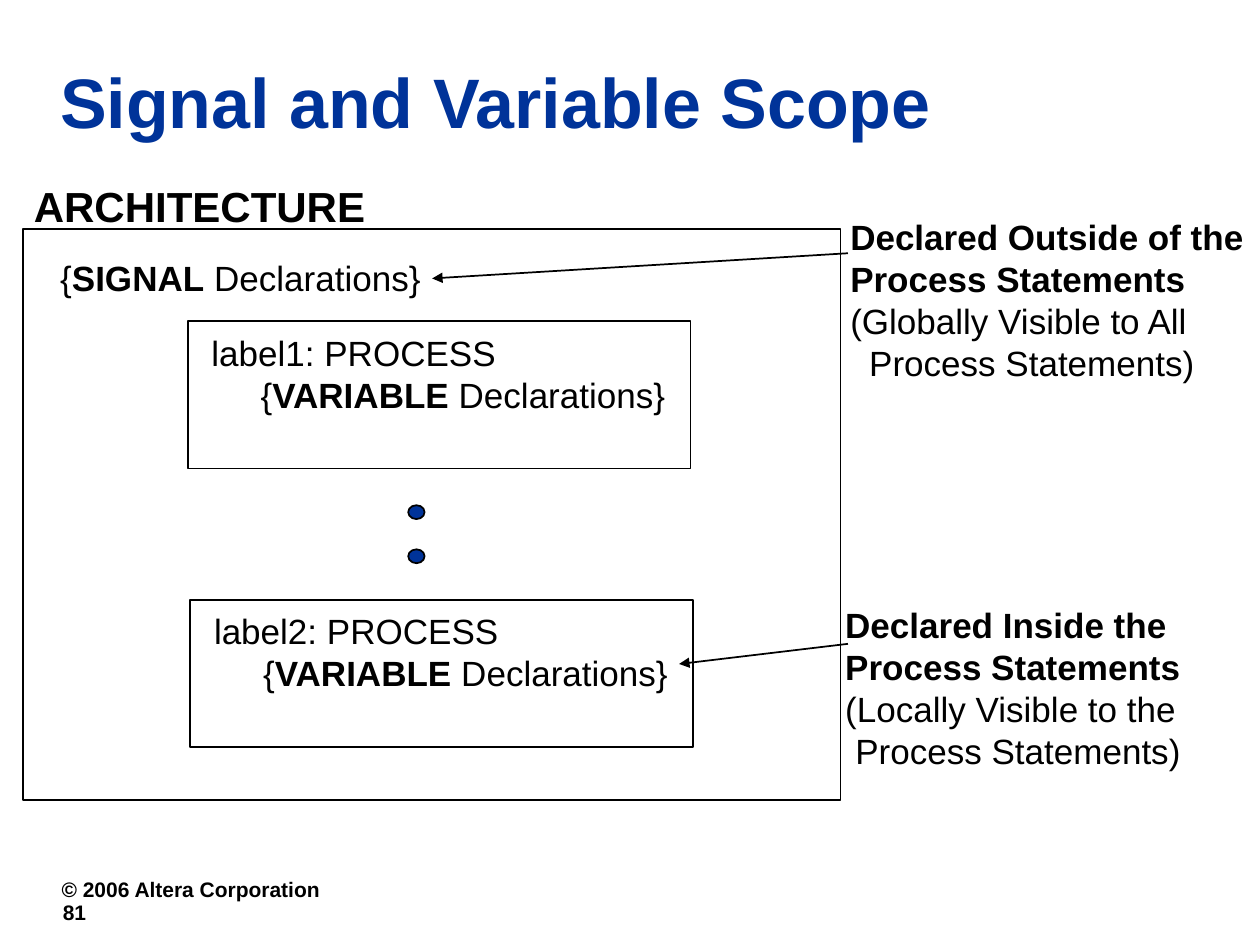
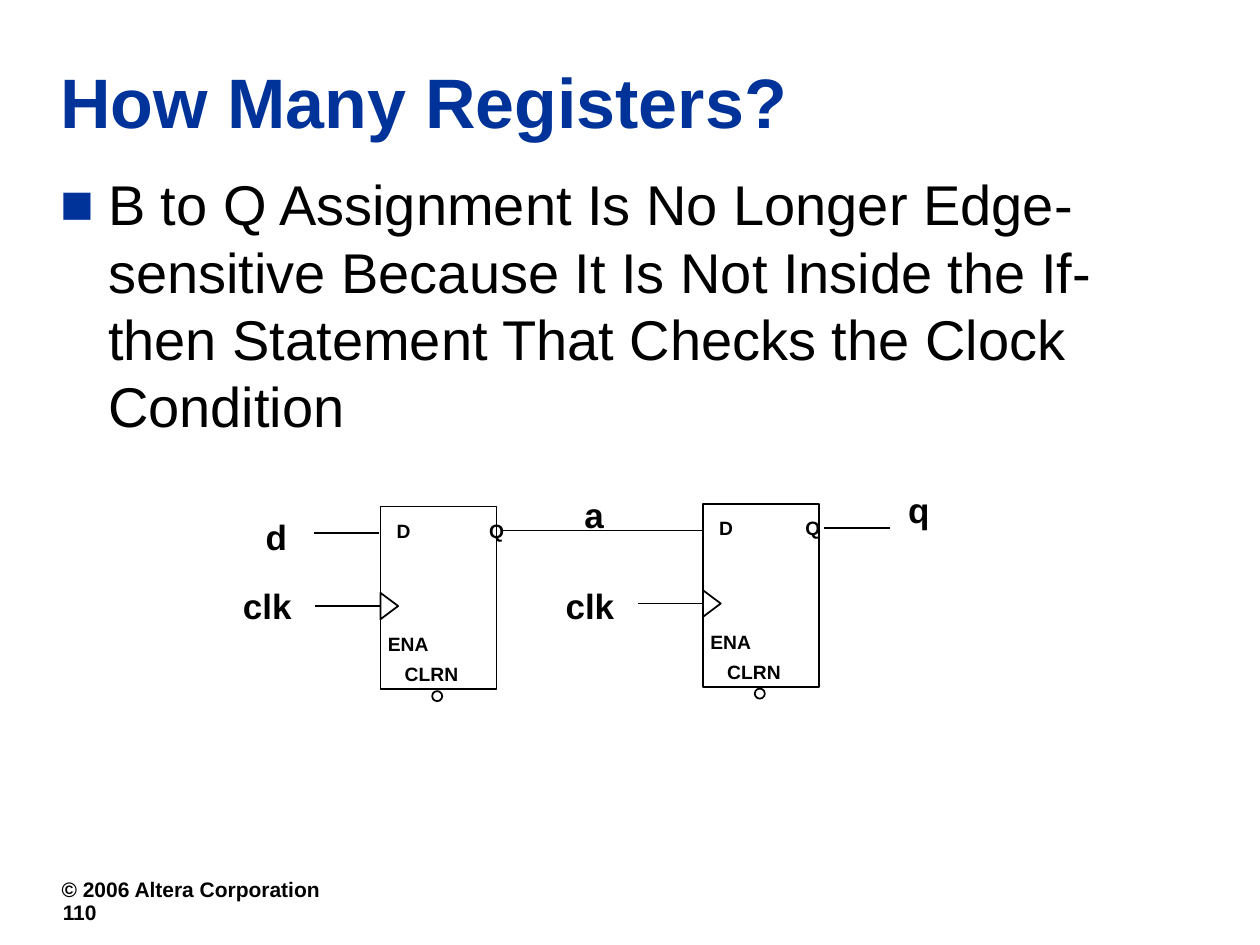
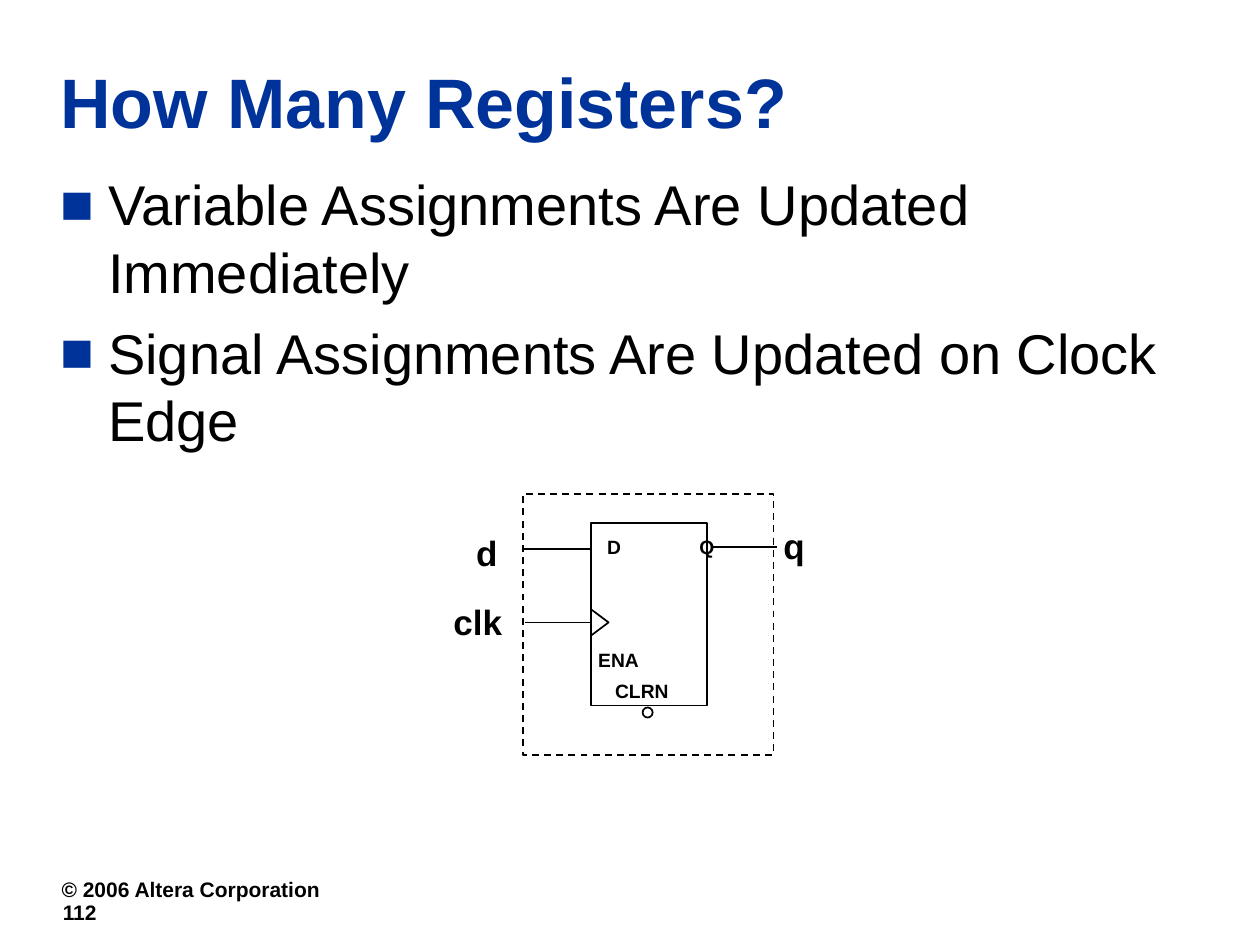
import pptx
import pptx.dml.color
import pptx.enum.dml
import pptx.enum.shapes
import pptx.enum.text
import pptx.oxml
import pptx.oxml.ns
import pptx.util
from lxml import etree

Inches, Pt = pptx.util.Inches, pptx.util.Pt
SHAPE = pptx.enum.shapes.MSO_SHAPE
ALIGN = pptx.enum.text.PP_ALIGN
ANCHOR = pptx.enum.text.MSO_ANCHOR
qn = pptx.oxml.ns.qn

BLACK = pptx.dml.color.RGBColor(0, 0, 0)
WHITE = pptx.dml.color.RGBColor(255, 255, 255)
BLUE = pptx.dml.color.RGBColor(0x00, 0x33, 0x99)
FONT = "Arial"
LEADING = 1.2
COPYRIGHT = "© 2006 Altera Corporation"

# Content: a paragraph is a list of (words, bold) runs
SCOPE = {"title": "Signal and Variable Scope", "number": "81"}
SIGNAL_DECLARATION = [[("{", False), ("SIGNAL", True), (" Declarations}", False)]]
VARIABLE_DECLARATION = [("{", False), ("VARIABLE", True), (" Declarations}", False)]
PROCESSES = [("label1: PROCESS", 1.49, 2.55), ("label2: PROCESS", 1.51, 4.76)]
# Lines, left, top, width, indent of the last line
SCOPE_NOTES = [
    (["Declared Outside of the", "Process Statements", "(Globally Visible to All",
      "Process Statements)"], 6.65, 1.66, 3.4, 0.15),
    (["Declared Inside the", "Process Statements", "(Locally Visible to the",
      "Process Statements)"], 6.61, 4.74, 2.94, 0.08),
]
SCOPE_ARROWS = [((6.73, 2.01), (3.43, 2.21)), ((6.73, 5.11), (5.39, 5.27))]
ELLIPSIS_TOPS = [4.01, 4.36]

# Registers: left, top, left of pin Q; wire labels: words, left, top, width
REGISTER_SLIDES = [
    {"title": "How Many Registers?", "number": "110",
     "points": ["B to Q Assignment Is No Longer Edge-sensitive Because It Is Not "
                "Inside the If-then Statement That Checks the Clock Condition"],
     "registers": [(5.58, 4.0, 0.73), (3.02, 4.02, 0.78)],
     "labels": [("q", 7.11, 3.83, 0.37), ("clk", 4.39, 4.59, 0.59),
                ("d", 2.01, 4.04, 0.37), ("clk", 1.83, 4.59, 0.59),
                ("a", 4.54, 3.87, 0.36)],
     "wires": [((4.4, 4.21), (5.14, 4.21))], "frames": []},
    {"title": "How Many Registers?", "number": "112",
     "points": ["Variable Assignments Are Updated Immediately",
                "Signal Assignments Are Updated on Clock Edge"],
     "registers": [(4.69, 4.15, 0.78)],
     "labels": [("d", 3.68, 4.17, 0.37), ("clk", 3.5, 4.72, 0.59),
                ("q", 6.12, 4.11, 0.37)],
     "wires": [], "frames": [(4.15, 3.92, 1.99, 2.07)]},
]

# Register parts, measured from its top left corner
PINS = [("CLRN", 0.07, 1.19, 0.67), ("ENA", -0.08, 0.95, 0.6), ("D", 0.03, 0.05, 0.22)]
STUBS = [((0, 0.79), (-0.52, 0.79)), ((-0.01, 0.21), (-0.53, 0.21)),
         ((1.48, 0.19), (0.96, 0.19))]


def add_text(slide, box, paragraphs, size, color=BLACK, wrap=False,
             align=ALIGN.LEFT, anchor=ANCHOR.TOP):
    """Places paragraphs of (words, bold) runs and returns the text frame."""
    frame = slide.shapes.add_textbox(*map(Inches, box)).text_frame
    frame.word_wrap = wrap
    frame.vertical_anchor = anchor
    for i, runs in enumerate(paragraphs):
        paragraph = frame.paragraphs[0] if i == 0 else frame.add_paragraph()
        paragraph.alignment = align
        paragraph.line_spacing = Pt(size * LEADING)
        for words, bold in runs:
            run = paragraph.add_run()
            run.text = words
            run.font.name, run.font.size, run.font.bold = FONT, Pt(size), bold
            run.font.color.rgb = color
    return frame


def indent(paragraph, left, first=0):
    properties = paragraph._p.get_or_add_pPr()
    properties.set("marL", str(Inches(left)))
    properties.set("indent", str(Inches(first)))
    return properties


def add_bullet(paragraph):
    properties = indent(paragraph, 0.38, -0.38)
    color = etree.SubElement(properties, qn("a:buClr"))
    etree.SubElement(color, qn("a:srgbClr"), val=str(BLUE))
    etree.SubElement(properties, qn("a:buFont"), typeface=FONT)
    etree.SubElement(properties, qn("a:buChar"), char="■")


def add_text_shadow(run):
    effects = pptx.oxml.parse_xml(
        '<a:effectLst xmlns:a="http://schemas.openxmlformats.org/drawingml/2006/main">'
        '<a:outerShdw dist="17961" dir="2700000"><a:srgbClr val="C0C0C0"/></a:outerShdw>'
        '</a:effectLst>')
    run.font._element.find(qn("a:solidFill")).addnext(effects)


def add_outline(slide, kind, box, fill=None):
    shape = slide.shapes.add_shape(kind, *map(Inches, box))
    shape.shadow.inherit = False
    if fill is None:
        shape.fill.background()
    else:
        shape.fill.solid()
        shape.fill.fore_color.rgb = fill
    shape.line.color.rgb, shape.line.width = BLACK, Pt(1)
    return shape


def add_wire(slide, start, end, arrow=False):
    wire = slide.shapes.add_connector(
        pptx.enum.shapes.MSO_CONNECTOR.STRAIGHT, *map(Inches, (*start, *end)))
    wire.line.color.rgb, wire.line.width = BLACK, Pt(1)
    if arrow:
        etree.SubElement(wire.line._get_or_add_ln(), qn("a:tailEnd"), type="triangle")
    etree.SubElement(wire._element.spPr, qn("a:effectLst"))


def add_slide(deck, content):
    """Starts a slide with the shared footer and title."""
    slide = deck.slides.add_slide(deck.slide_layouts[6])
    add_text(slide, (0.39, 6.91, 4.65, 0.42), [[(COPYRIGHT, True)]], 12, wrap=True)
    add_text(slide, (0.4, 7.09, 0.76, 0.31), [[(content["number"], True)]], 12, wrap=True)
    title = add_text(slide, (0.38, 0.3, 9.11, 1), [[(content["title"], True)]], 40,
                     BLUE, wrap=True, anchor=ANCHOR.MIDDLE)
    add_text_shadow(title.paragraphs[0].runs[0])
    return slide


def add_register(slide, left, top, q_left):
    add_outline(slide, SHAPE.RECTANGLE, (left, top, 0.92, 1.45))
    clock = add_outline(slide, SHAPE.ISOSCELES_TRIANGLE,
                        (left - 0.035, top + 0.72, 0.21, 0.14))
    clock.rotation = 90
    add_outline(slide, SHAPE.OVAL, (left + 0.41, top + 1.465, 0.08, 0.08), WHITE)
    for pin, x, y, width in PINS + [("Q", q_left, 0.05, 0.18)]:
        add_text(slide, (left + x, top + y, width, 0.27), [[(pin, True)]], 11,
                 align=ALIGN.CENTER)
    for stub in STUBS:
        add_wire(slide, *((left + x, top + y) for x, y in stub))


def build_scope(deck):
    slide = add_slide(deck, SCOPE)
    # Architecture and its processes
    add_outline(slide, SHAPE.RECTANGLE, (0.18, 1.82, 6.49, 4.53))
    add_text(slide, (0.17, 1.38, 2.83, 0.5), [[("ARCHITECTURE", True)]], 24)
    for label, left, top in PROCESSES:
        add_outline(slide, SHAPE.RECTANGLE, (left, top, 3.99, 1.17))
        process = add_text(slide, (left + 0.09, top + 0.03, 3.82, 0.77),
                           [[(label, False)], VARIABLE_DECLARATION], 20)
        indent(process.paragraphs[1], 0.39)
    for top in ELLIPSIS_TOPS:
        add_outline(slide, SHAPE.OVAL, (3.24, top, 0.13, 0.11), BLUE)
    add_text(slide, (0.38, 1.99, 3.06, 0.43), SIGNAL_DECLARATION, 20)
    # Notes on visibility: the first two lines are bold
    for lines, left, top, width, last_indent in SCOPE_NOTES:
        note = add_text(slide, (left, top, width, 1.44),
                        [[(line, i < 2)] for i, line in enumerate(lines)], 20)
        indent(note.paragraphs[-1], last_indent)
    for start, end in SCOPE_ARROWS:
        add_wire(slide, start, end, arrow=True)


def build_registers(deck, content):
    slide = add_slide(deck, content)
    # Bulleted points
    points = add_text(slide, (0.38, 1.3, 9.11, 5.37),
                      [[(point, False)] for point in content["points"]], 32, wrap=True)
    for i, paragraph in enumerate(points.paragraphs):
        if i:
            paragraph.space_before = Pt(8)
        add_bullet(paragraph)
    # Circuit
    for register in content["registers"]:
        add_register(slide, *register)
    for box in content["frames"]:
        frame = add_outline(slide, SHAPE.RECTANGLE, box)
        frame.line.dash_style = pptx.enum.dml.MSO_LINE.DASH
    for words, left, top, width in content["labels"]:
        add_text(slide, (left, top, width, 0.43), [[(words, True)]], 20)
    for start, end in content["wires"]:
        add_wire(slide, start, end)


def main():
    deck = pptx.Presentation()
    deck.slide_width, deck.slide_height = Inches(10), Inches(7.5)
    build_scope(deck)
    for content in REGISTER_SLIDES:
        build_registers(deck, content)
    deck.save("out.pptx")


if __name__ == "__main__":
    main()
